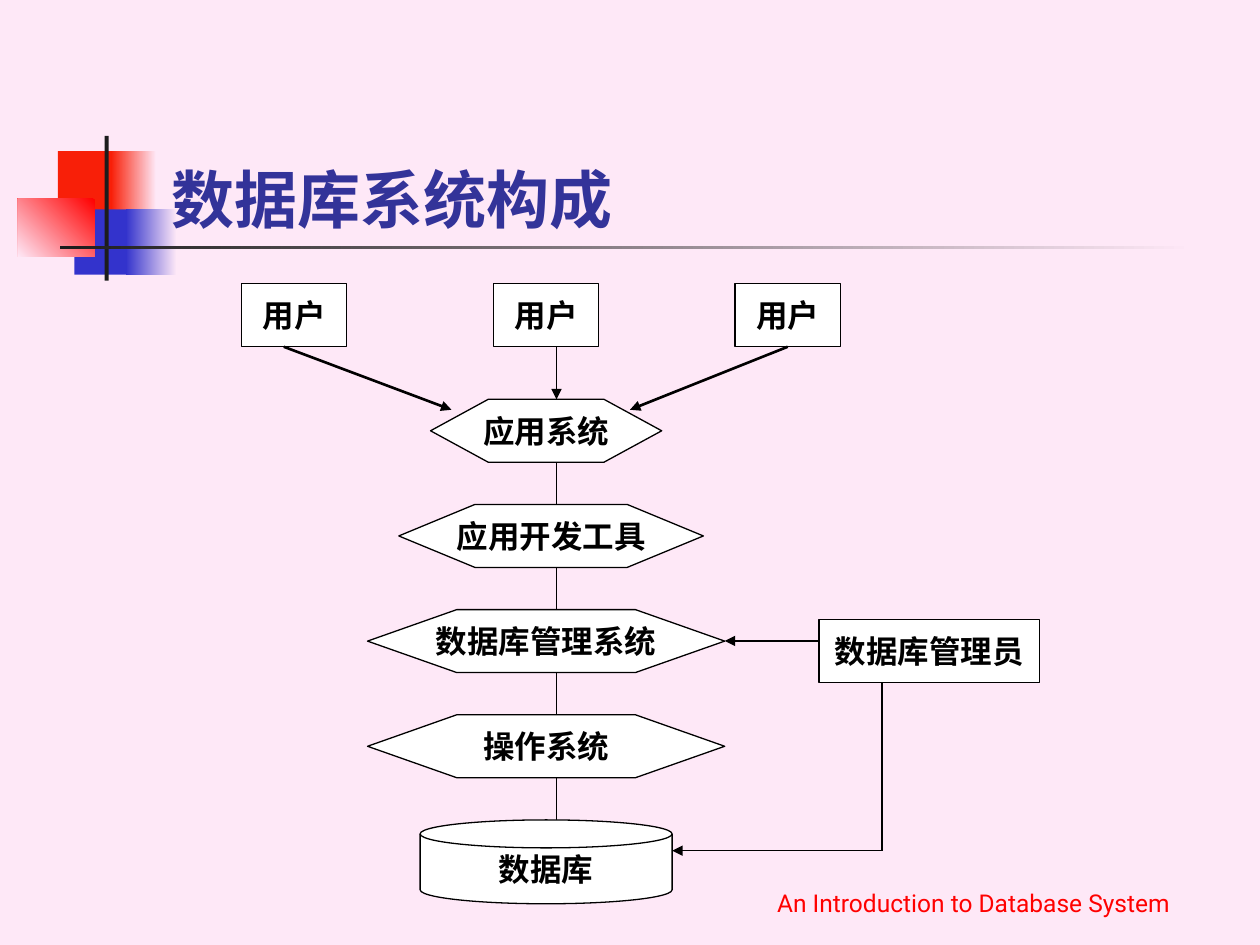
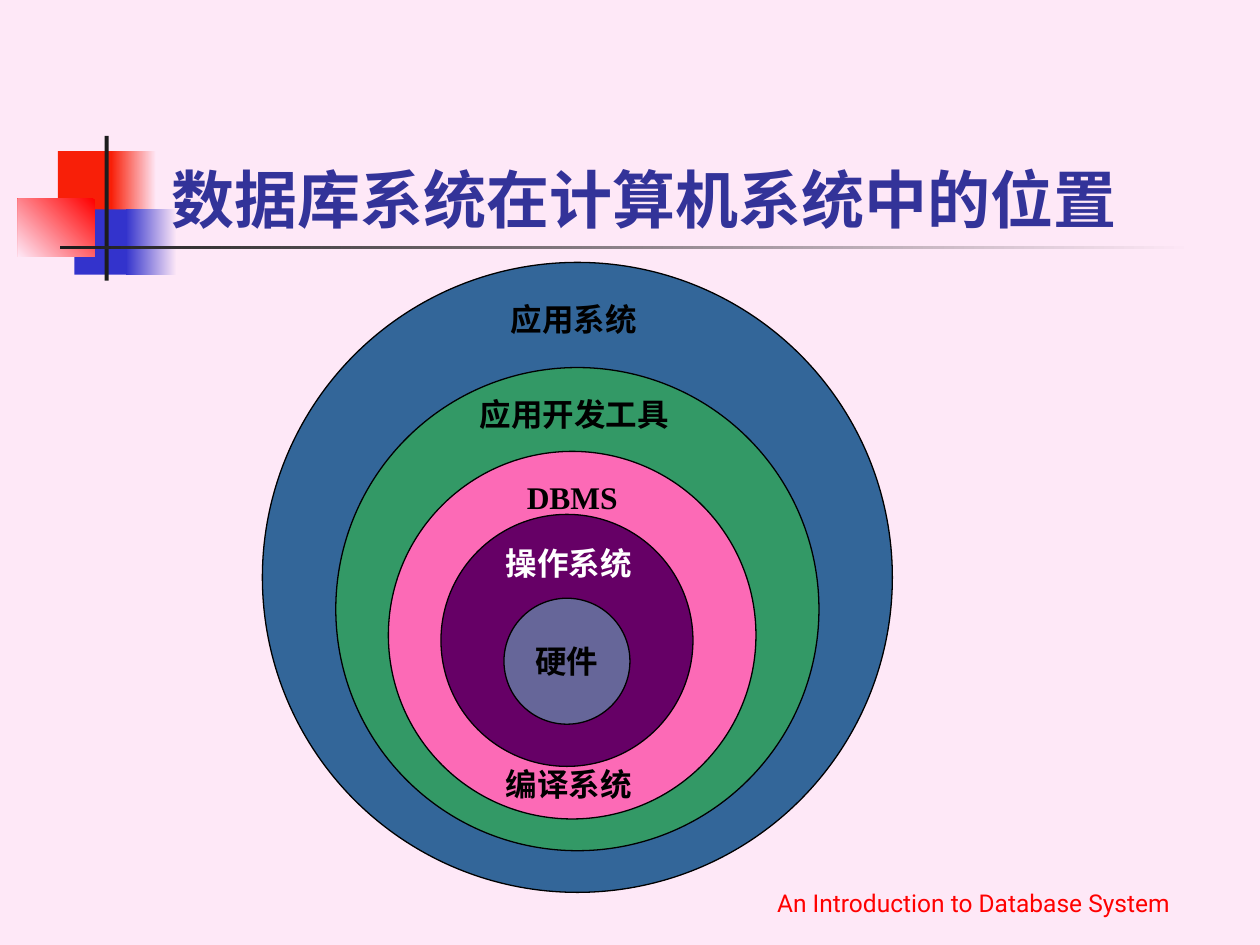
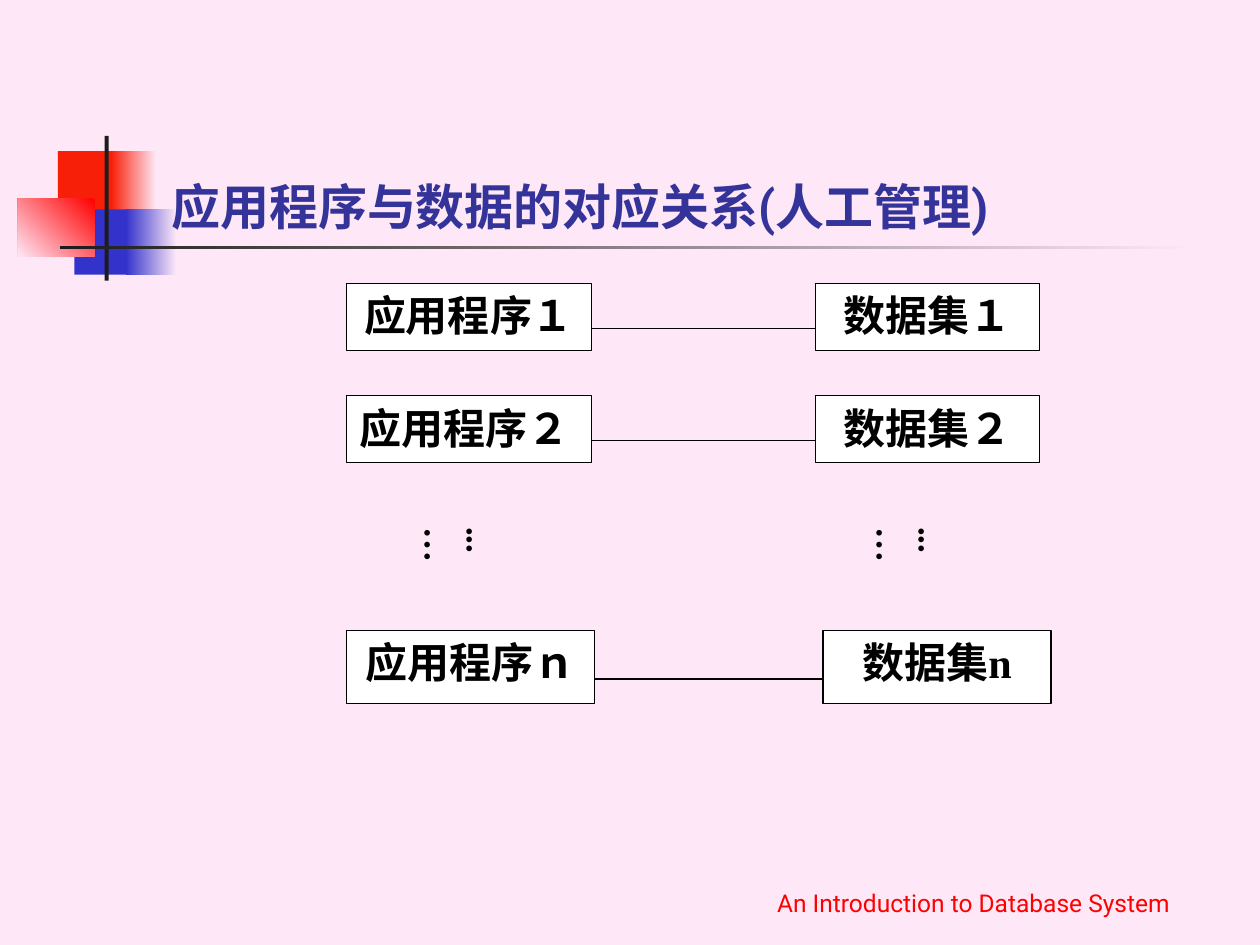
from pptx import Presentation
from pptx.dml.color import RGBColor
from pptx.enum.shapes import MSO_CONNECTOR, MSO_SHAPE
from pptx.enum.text import MSO_ANCHOR, MSO_AUTO_SIZE, PP_ALIGN
from pptx.oxml.ns import qn
from pptx.util import Cm, Pt
from lxml.etree import SubElement

PALE = RGBColor(0xFE, 0xE8, 0xF7)
BRICK = RGBColor(0xF8, 0x1F, 0x08)
RED = RGBColor(0xFF, 0x00, 0x00)
BLUE = RGBColor(0x33, 0x33, 0xCC)
NAVY = RGBColor(0x33, 0x33, 0x99)
INK = RGBColor(0x1C, 0x1C, 0x1C)
BLACK = RGBColor(0x00, 0x00, 0x00)
WHITE = RGBColor(0xFF, 0xFF, 0xFF)
STEEL = RGBColor(0x33, 0x66, 0x99)
GREEN = RGBColor(0x33, 0x99, 0x66)
PINK = RGBColor(0xFC, 0x6A, 0xB6)
PLUM = RGBColor(0x66, 0x00, 0x66)
SLATE = RGBColor(0x66, 0x66, 0x99)

SANS = "Roboto"
SERIF = "Times New Roman"
FOOTER = "An Introduction to Database System"


def write(frame, text, size=18, color=BLACK, font=SERIF, bold=True,
          align=PP_ALIGN.CENTER):
    """Fill a text frame with one formatted paragraph."""
    frame.text = text
    line = frame.paragraphs[0]
    line.alignment = align
    style = line.runs[0].font
    style.name, style.size, style.bold = font, Pt(size), bold
    style.color.rgb = color


def place(slide, kind, box, at, fill=WHITE, edge=True):
    """Add a flat shape at a spot relative to the box origin."""
    x, y, width, height = at
    shape = slide.shapes.add_shape(
        kind, Cm(box[0] + x), Cm(box[1] + y), Cm(width), Cm(height))
    shape.shadow.inherit = False
    shape.fill.solid()
    shape.fill.fore_color.rgb = fill
    if edge:
        shape.line.color.rgb = BLACK
        shape.line.width = Pt(0.75)
    else:
        shape.line.fill.background()
    return shape


def node(slide, kind, box, at, text, fill=WHITE):
    """Add an outlined shape with a centred label."""
    shape = place(slide, kind, box, at, fill)
    write(shape.text_frame, text)
    shape.text_frame.word_wrap = False
    return shape


def label(slide, box, at, wrap=False):
    """Add a text box relative to the box origin and return its frame."""
    x, y, width, height = at
    frame = slide.shapes.add_textbox(
        Cm(box[0] + x), Cm(box[1] + y), Cm(width), Cm(height)).text_frame
    frame.word_wrap = wrap
    return frame


def link(slide, box, start, end, arrow=False, weight=0.75):
    """Draw a black line, with an arrowhead at its end if asked."""
    ends = [Cm(box[i] + spot[i]) for spot in (start, end) for i in (0, 1)]
    wire = slide.shapes.add_connector(MSO_CONNECTOR.STRAIGHT, *ends)
    wire.line.color.rgb = BLACK
    wire.line.width = Pt(weight)
    if arrow:
        SubElement(wire.line._get_or_add_ln(), qn("a:tailEnd"), type="triangle")
    SubElement(wire.element.spPr, qn("a:effectLst"))


def fade(shape, first, last, angle):
    """Give a shape a gradient of two colours."""
    shape.fill.gradient()
    shape.fill.gradient_angle = angle
    for stop, color in zip(shape.fill.gradient_stops, (first, last)):
        stop.color.rgb = color


def brand(slide, box):
    """Build the band of blocks and rules and move it to the layout."""
    layout = slide.slide_layout
    for holder in list(layout.placeholders)[1:]:
        holder.element.getparent().remove(holder.element)
    parts = [
        ((0.81, 0.31, 1.22, 1.32), BRICK, None),
        ((1.88, 0.31, 0.91, 1.32), PALE, (BRICK, 180)),
        ((1.14, 1.48, 1.17, 1.32), BLUE, None),
        ((2.18, 1.48, 1.02, 1.32), PALE, (BLUE, 180)),
        ((0, 1.27, 1.55, 1.17), RED, (PALE, 225)),
        ((1.75, 0, 0.08, 2.92), INK, None),
        ((0.86, 2.21, 22.86, 0.08), PALE, (INK, 180)),
    ]
    blocks = []
    for at, color, blend in parts:
        block = place(slide, MSO_SHAPE.RECTANGLE, box, at, color, False)
        if blend:
            fade(block, color, *blend)
        blocks.append(block)
    for block in blocks:
        layout.shapes.element.append(block.element)


def start(deck, text, size=36):
    """Add a slide with its title and footer."""
    slide = deck.slides.add_slide(deck.slide_layouts[5])
    title = slide.shapes.title
    title.left, title.top = Cm(3.2), Cm(1.7)
    title.width, title.height = Cm(21.64), Cm(3.18)
    frame = title.text_frame
    write(frame, text, size, NAVY, SANS, align=PP_ALIGN.LEFT)
    frame.vertical_anchor = MSO_ANCHOR.BOTTOM
    frame.auto_size = MSO_AUTO_SIZE.NONE
    foot = label(slide, (14.5, 17.35), (0, 0, 10.26, 1.27), True)
    write(foot, FOOTER, 14, RED, SANS, False)
    foot.vertical_anchor = MSO_ANCHOR.BOTTOM
    return slide


def flow(slide, box):
    """Draw users, the stack of layers and the administrator."""
    tall, first, step, axis = 1.27, 2.33, 2.12, 6.35
    for x in (0, 5.08, 9.95):
        node(slide, MSO_SHAPE.RECTANGLE, box, (x, 0, 2.12, tall), "用户")
    layers = [("应用系统", 6.14, 4.66), ("应用开发工具", 6.24, 6.14),
              ("数据库管理系统", 6.14, 7.2), ("操作系统", 6.14, 7.2)]
    for row, (text, mid, width) in enumerate(layers):
        top = first + row * step
        layer = node(slide, MSO_SHAPE.HEXAGON, box,
                     (mid - width / 2, top, width, tall), text)
        layer.adjustments[0] = width / tall / 4
        link(slide, box, (axis, top + tall), (axis, top + step))
    node(slide, MSO_SHAPE.FLOWCHART_MAGNETIC_DISK, box,
         (3.6, first + 4 * step, 5.08, 1.69), "数据库")
    node(slide, MSO_SHAPE.RECTANGLE, box, (11.64, 6.77, 4.45, tall), "数据库管理员")
    link(slide, box, (11.64, 7.2), (9.74, 7.2), True)
    link(slide, box, (12.91, 11.43), (12.91, 6.77 + tall))
    link(slide, box, (12.91, 11.43), (8.68, 11.43), True)
    link(slide, box, (0.85, tall), (4.23, 2.54), True, 1.5)
    link(slide, box, (axis, tall), (axis, first), True)
    link(slide, box, (11.01, tall), (7.83, 2.54), True, 1.5)


def rings(slide, box):
    """Draw nested circles and their labels."""
    for x, y, size, color in [(0, 0, 12.7, STEEL), (1.48, 2.12, 9.74, GREEN),
                              (2.54, 3.81, 7.41, PINK), (3.6, 5.08, 5.08, PLUM)]:
        place(slide, MSO_SHAPE.OVAL, box, (x, y, size, size), color)
    node(slide, MSO_SHAPE.OVAL, box, (4.87, 6.77, 2.54, 2.54), "硬件", SLATE)
    names = [("应用系统", 4.76, 0.64, 3.05, BLACK),
             ("应用开发工具", 4.13, 2.54, 4.32, BLACK),
             ("DBMS", 5.08, 4.23, 2.34, BLACK),
             ("操作系统", 4.66, 5.56, 3.05, WHITE),
             ("编译系统", 4.66, 10, 3.05, BLACK)]
    for text, x, y, width, color in names:
        frame = label(slide, box, (x, y, width, 1.02))
        write(frame, text, color=color, align=PP_ALIGN.LEFT)


def pairs(slide, box):
    """Draw programs linked to their data sets, with dots between rows."""
    mid = PP_ALIGN.CENTER
    rows = [("应用程序１", "数据集１", 0, 1.35, 4.93, 9.45, 4.52, mid),
            ("应用程序２", "数据集２", 2.26, 1.35, 4.93, 9.45, 4.52, PP_ALIGN.JUSTIFY),
            ("应用程序ｎ", "数据集n", 6.99, 1.47, 5, 9.6, 4.6, mid)]
    for task, data, top, tall, width, x, span, align in rows:
        for text, at, side in [(task, (0, top, width, tall), align),
                               (data, (x, top, span, tall), mid)]:
            frame = place(slide, MSO_SHAPE.RECTANGLE, box, at).text_frame
            write(frame, text, 24, align=side)
            frame.vertical_anchor = MSO_ANCHOR.TOP
        level = top + tall * 2 / 3
        link(slide, box, (width, level), (x, level))
    for x in (1.91, 11.02):
        frame = label(slide, box, (x, 4.66, 1.35, 1.7), True)
        write(frame, "...…", 20, align=PP_ALIGN.LEFT)
        frame.margin_left = frame.margin_right = Cm(0.13)
        frame.margin_top = frame.margin_bottom = Cm(0.25)
        frame.auto_size = MSO_AUTO_SIZE.SHAPE_TO_FIT_TEXT
        frame._txBody.bodyPr.set("vert", "eaVert")


def main():
    """Build the deck and save it."""
    deck = Presentation()
    deck.slide_width, deck.slide_height = Cm(25.4), Cm(19.05)
    back = deck.slide_master.background.fill
    back.solid()
    back.fore_color.rgb = PALE
    slide = start(deck, "数据库系统构成")
    brand(slide, (0.36, 2.74))
    flow(slide, (4.87, 5.72))
    rings(start(deck, "数据库系统在计算机系统中的位置"), (5.29, 5.29))
    pairs(start(deck, "应用程序与数据的对应关系(人工管理)", 28), (6.99, 5.72))
    deck.save("out.pptx")


if __name__ == "__main__":
    main()
